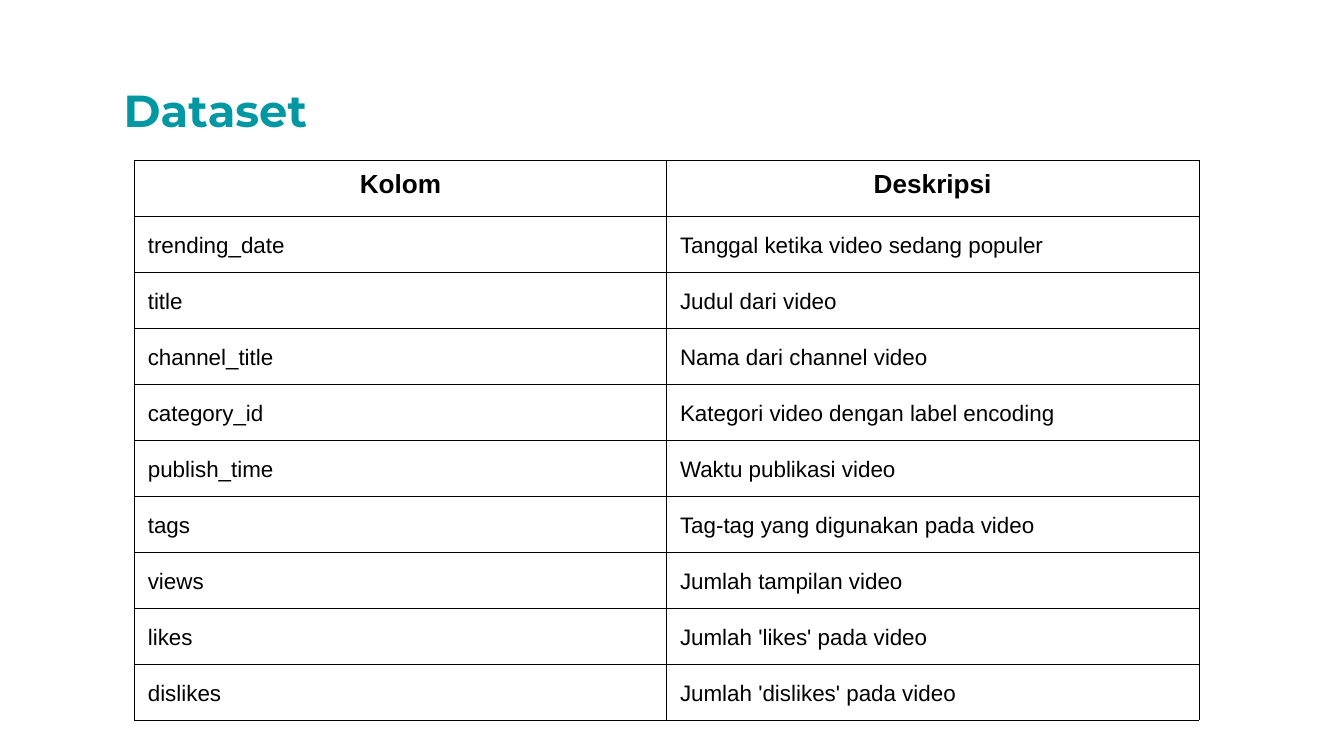
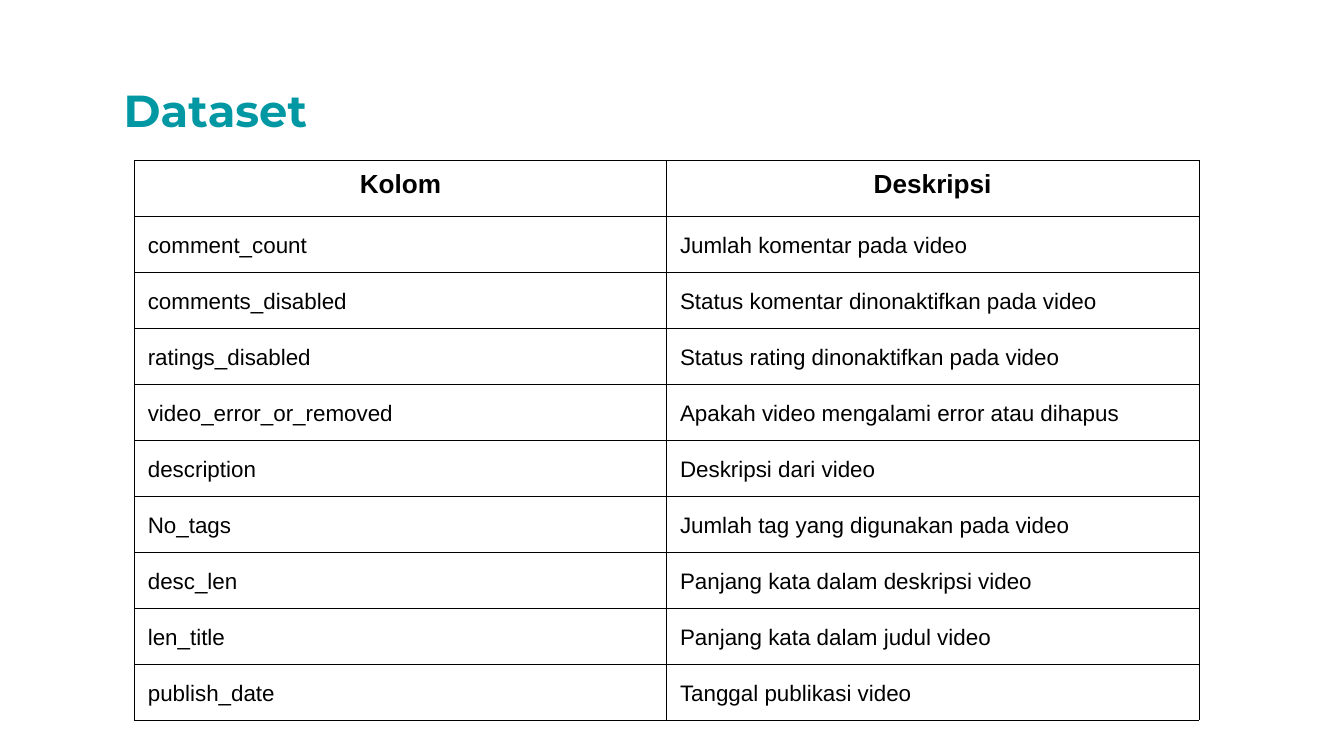
import pptx
import pptx.dml.color
import pptx.enum.text
import pptx.oxml
import pptx.oxml.ns
import pptx.util

TEAL, BLACK, WHITE = "0198A3", "000000", "FFFFFF"
ANCHOR = pptx.enum.text.MSO_ANCHOR
ALIGN = pptx.enum.text.PP_ALIGN
HEADER = ("Kolom", "Deskripsi")
SLIDES = [
    [
        ("trending_date", "Tanggal ketika video sedang populer"),
        ("title", "Judul dari video"),
        ("channel_title", "Nama dari channel video"),
        ("category_id", "Kategori video dengan label encoding"),
        ("publish_time", "Waktu publikasi video"),
        ("tags", "Tag-tag yang digunakan pada video"),
        ("views", "Jumlah tampilan video"),
        ("likes", "Jumlah 'likes' pada video"),
        ("dislikes", "Jumlah 'dislikes' pada video"),
    ],
    [
        ("comment_count", "Jumlah komentar pada video"),
        ("comments_disabled", "Status komentar dinonaktifkan pada video"),
        ("ratings_disabled", "Status rating dinonaktifkan pada video"),
        ("video_error_or_removed", "Apakah video mengalami error atau dihapus"),
        ("description", "Deskripsi dari video"),
        ("No_tags", "Jumlah tag yang digunakan pada video"),
        ("desc_len", "Panjang kata dalam deskripsi video"),
        ("len_title", "Panjang kata dalam judul video"),
        ("publish_date", "Tanggal publikasi video"),
    ],
]


def rgb(value):
    return pptx.dml.color.RGBColor.from_string(value)


def write(tf, text, size=12, font="Arial", color=BLACK, bold=False, align=ALIGN.LEFT, spacing=1.0):
    p = tf.paragraphs[0]
    p.alignment, p.line_spacing = align, spacing
    r = p.add_run()
    r.text = text
    r.font.size, r.font.name, r.font.bold = pptx.util.Pt(size), font, bold
    r.font.color.rgb = rgb(color)


def set_margins(target, *inches):
    for side, value in zip(("left", "top", "right", "bottom"), inches):
        setattr(target, "margin_" + side, pptx.util.Inches(value))


class Deck:
    """Holds the presentation style and current slide; boxes are percentages of the slide."""

    def __init__(self):
        self.prs = pptx.Presentation()
        self.prs.slide_width = pptx.util.Inches(10)
        self.prs.slide_height = pptx.util.Pt(405)
        self.s = None

    def box(self, x, y, w, h):
        sw, sh = self.prs.slide_width, self.prs.slide_height
        return [round(part * full / 100) for part, full in zip((x, y, w, h), (sw, sh, sw, sh))]

    def slide(self):
        self.s = self.prs.slides.add_slide(self.prs.slide_layouts[6])
        self.s.background.fill.solid()
        self.s.background.fill.fore_color.rgb = rgb(WHITE)

    def title(self, text):
        sp = self.s.shapes.add_textbox(*self.box(8.5, 10, 60.3, 8.53))
        tf = sp.text_frame
        tf.word_wrap = True
        tf.auto_size = pptx.enum.text.MSO_AUTO_SIZE.SHAPE_TO_FIT_TEXT
        set_margins(tf, 0.07, 0.04, 0.07, 0.04)
        write(tf, text, size=24, font="Montserrat", color=TEAL, bold=True, spacing=1.03)

    def border(self, cell):
        tc_pr = cell._tc.get_or_add_tcPr()
        for side in "LRTB":
            tc_pr.append(pptx.oxml.parse_xml(
                f'<a:ln{side} {pptx.oxml.ns.nsdecls("a")} w="{pptx.util.Pt(0.38)}">'
                f'<a:solidFill><a:srgbClr val="{BLACK}"/></a:solidFill></a:ln{side}>'))

    def table(self, rows):
        box = self.box(10, 21.17, 79.2, 74.1)
        table = self.s.shapes.add_table(len(rows), len(rows[0]), *box).table
        table.first_row = table.horz_banding = False
        for i, row in enumerate(rows):
            for j, text in enumerate(row):
                cell = table.cell(i, j)
                self.border(cell)
                cell.fill.background()
                if i == 0:
                    cell.vertical_anchor = ANCHOR.MIDDLE
                    set_margins(cell, 0.01, 0.01, 0.01, 0.1)
                    write(cell.text_frame, text, size=14, bold=True, align=ALIGN.CENTER, spacing=1.15)
                else:
                    cell.vertical_anchor = ANCHOR.BOTTOM
                    set_margins(cell, 0.1, 0.1, 0.1, 0.1)
                    write(cell.text_frame, text)


def main():
    deck = Deck()
    for rows in SLIDES:
        deck.slide()
        deck.title("Dataset")
        deck.table([HEADER] + rows)
    deck.prs.save("out.pptx")


if __name__ == "__main__":
    main()
